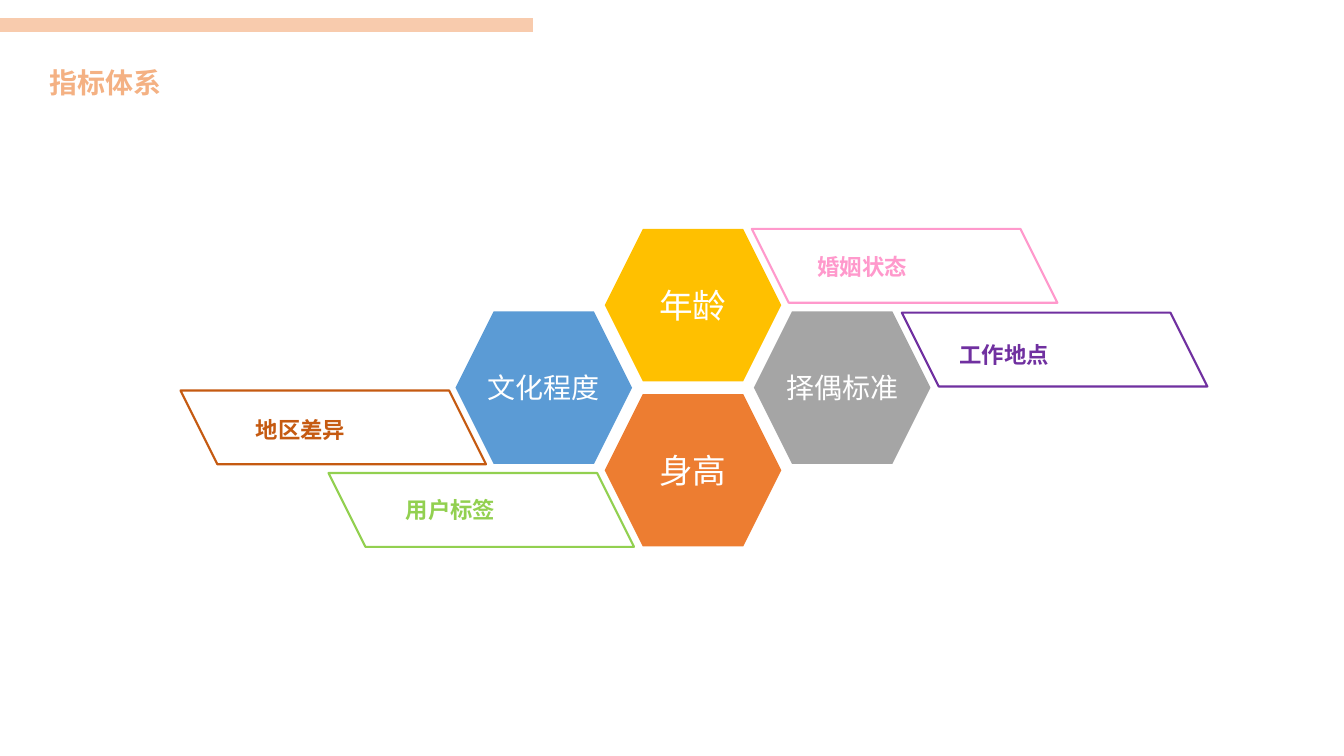
from dataclasses import dataclass

from lxml import etree
from pptx import Presentation
from pptx.dml.color import RGBColor
from pptx.enum.shapes import MSO_CONNECTOR, MSO_SHAPE
from pptx.enum.text import MSO_ANCHOR, PP_ALIGN
from pptx.oxml.ns import qn
from pptx.util import Cm, Pt

HEXAGON = MSO_SHAPE.HEXAGON
PARALLELOGRAM = MSO_SHAPE.PARALLELOGRAM
STRAIGHT = MSO_CONNECTOR.STRAIGHT
MIDDLE = MSO_ANCHOR.MIDDLE
TOP = MSO_ANCHOR.TOP
CENTER = PP_ALIGN.CENTER
LEFT = PP_ALIGN.LEFT

CHINESE_FONT = "Noto Sans CJK SC"
LABEL_FONT = "Arial"
HEXAGON_LEFT, HEXAGON_TOP = 15.24, 5.77
HEXAGON_WIDTH, HEXAGON_HEIGHT = 4.45, 3.84
COLUMN_STEP, HALF_ROW_STEP = 3.76, 2.08
BANNER_WIDTH, BANNER_HEIGHT = 7.7, 1.86
LABEL_WIDTH, LABEL_HEIGHT = 2.82, 0.94


@dataclass(frozen=True)
class Topic:
    text: str
    column: int
    half_row: int
    size: int
    color: str


@dataclass(frozen=True)
class Banner:
    text: str
    left: float
    top: float
    label_left: float
    label_top: float
    color: str


TOPICS = [
    Topic("年龄", 0, 0, 24, "FFC000"),
    Topic("择偶标准", 1, 1, 20, "A5A5A5"),
    Topic("身高", 0, 2, 24, "ED7D31"),
    Topic("文化程度", -1, 1, 20, "5B9BD5"),
]

BANNERS = [
    Banner("婚姻状态", 18.95, 5.77, 20.35, 6.25, "FF99CC"),
    Banner("工作地点", 22.73, 7.88, 23.93, 8.46, "7030A0"),
    Banner("地区差异", 4.55, 9.84, 6.2, 10.36, "C55A11"),
    Banner("用户标签", 8.28, 11.92, 9.98, 12.37, "92D050"),
]


def rgb(color: str) -> RGBColor:
    return RGBColor.from_string(color)


def write_text(box, text: str, color: str, align, frame_format: dict, font_format: dict) -> None:
    frame = box.text_frame
    for name, value in frame_format.items():
        setattr(frame, name, value)
    para = frame.paragraphs[0]
    para.alignment = align
    span = para.add_run()
    span.text = text
    for name, value in font_format.items():
        setattr(span.font, name, value)
    span.font.color.rgb = rgb(color)
    east_asian = etree.SubElement(span.font._element, qn("a:ea"))
    east_asian.set("typeface", CHINESE_FONT)


def draw_bar(page) -> None:
    bar = page.shapes.add_connector(STRAIGHT, Cm(0), Cm(0.64), Cm(13.44), Cm(0.64))
    bar.line.color.rgb = rgb("F8CBAD")
    bar.line.width = Pt(10)
    etree.SubElement(bar._element.spPr, qn("a:effectLst"))


def draw_title(page) -> None:
    box = page.shapes.add_textbox(Cm(0.99), Cm(1.52), Cm(4.85), Cm(1.12))
    write_text(box, "指标体系", "F4B183", LEFT,
               {"word_wrap": True, "vertical_anchor": TOP},
               {"name": CHINESE_FONT, "size": Pt(20), "bold": True})


def draw_banner(page, banner: Banner) -> None:
    outline = page.shapes.add_shape(PARALLELOGRAM, Cm(banner.left), Cm(banner.top),
                                    Cm(BANNER_WIDTH), Cm(BANNER_HEIGHT))
    outline.adjustments[0] = 0.5
    outline._element.spPr.xfrm.set("flipH", "1")
    outline.shadow.inherit = False
    outline.fill.background()
    outline.line.color.rgb = rgb(banner.color)
    outline.line.width = Pt(1.5)


def draw_label(page, banner: Banner) -> None:
    box = page.shapes.add_textbox(Cm(banner.label_left), Cm(banner.label_top),
                                  Cm(LABEL_WIDTH), Cm(LABEL_HEIGHT))
    write_text(box, banner.text, banner.color, LEFT,
               {"word_wrap": False, "vertical_anchor": TOP},
               {"name": LABEL_FONT, "size": Pt(16), "bold": True})


def draw_topic(page, topic: Topic) -> None:
    hexagon = page.shapes.add_shape(HEXAGON,
                                    Cm(HEXAGON_LEFT + topic.column * COLUMN_STEP),
                                    Cm(HEXAGON_TOP + topic.half_row * HALF_ROW_STEP),
                                    Cm(HEXAGON_WIDTH), Cm(HEXAGON_HEIGHT))
    hexagon.shadow.inherit = False
    hexagon.fill.solid()
    hexagon.fill.fore_color.rgb = rgb(topic.color)
    hexagon.line.fill.background()
    write_text(hexagon, topic.text, "FFFFFF", CENTER,
               {"word_wrap": False, "vertical_anchor": MIDDLE, "margin_left": 0,
                "margin_right": 0, "margin_top": 0, "margin_bottom": 0},
               {"name": CHINESE_FONT, "size": Pt(topic.size), "bold": False})


def main() -> None:
    deck = Presentation()
    deck.slide_width, deck.slide_height = Cm(33.87), Cm(19.05)
    page = deck.slides.add_slide(deck.slide_layouts[6])
    for banner in BANNERS:
        draw_banner(page, banner)
    for topic in TOPICS:
        draw_topic(page, topic)
    for banner in BANNERS:
        draw_label(page, banner)
    draw_bar(page)
    draw_title(page)
    deck.save("out.pptx")


if __name__ == "__main__":
    main()
